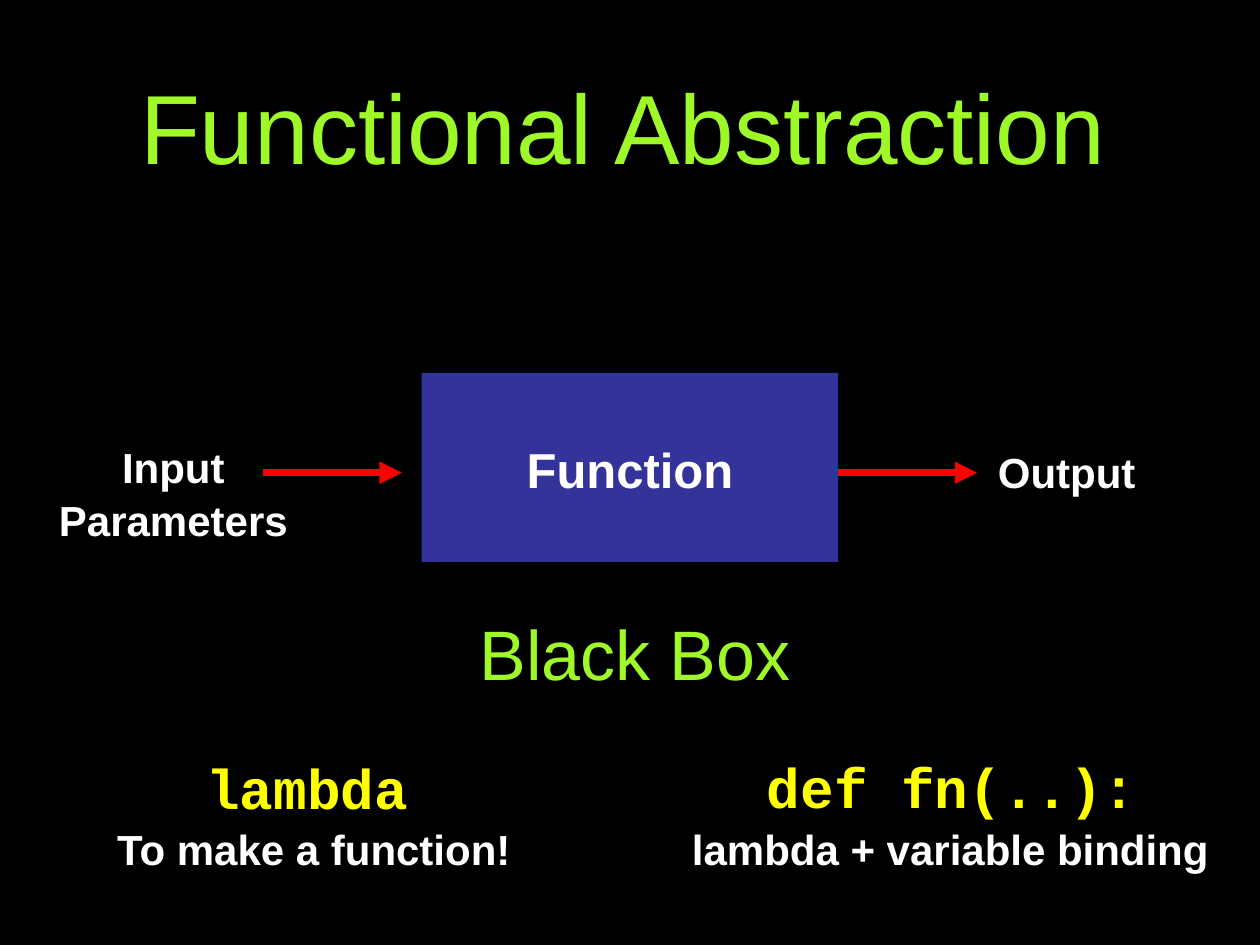
from dataclasses import dataclass

from lxml import etree
from pptx import Presentation
from pptx.dml.color import RGBColor
from pptx.enum.shapes import MSO_CONNECTOR, MSO_SHAPE
from pptx.enum.text import MSO_ANCHOR, MSO_AUTO_SIZE, PP_ALIGN
from pptx.oxml.ns import qn
from pptx.util import Cm, Pt

STRAIGHT = MSO_CONNECTOR.STRAIGHT
RECTANGLE = MSO_SHAPE.RECTANGLE
TOP, MIDDLE = MSO_ANCHOR.TOP, MSO_ANCHOR.MIDDLE
NO_AUTOFIT = MSO_AUTO_SIZE.NONE
LEFT, CENTER = PP_ALIGN.LEFT, PP_ALIGN.CENTER


@dataclass(frozen=True)
class Theme:
    background: str = "000000"
    heading: str = "9FF828"
    label: str = "FFFFFF"
    code: str = "FFFF00"
    box: str = "333399"
    arrow: str = "FF0000"
    body_font: str = "Arial"
    code_font: str = "Courier New"
    title_size: float = 56.1
    subtitle_size: float = 40
    code_size: float = 32
    box_size: float = 28
    label_size: float = 24
    arrow_width: float = 4.25
    body_spacing: float = 1.04
    code_spacing: float = 1.13


def write(frame, text, *, font, size, color, bold=False, align=CENTER,
          anchor=TOP, wrap=True, spacing=1.04, insets=(0.25, 0.13, 0.25, 0.13)):
    frame.auto_size = NO_AUTOFIT
    frame.word_wrap = wrap
    frame.vertical_anchor = anchor
    (frame.margin_left, frame.margin_top,
     frame.margin_right, frame.margin_bottom) = map(Cm, insets)
    for index, line in enumerate(text.split("\n")):
        paragraph = frame.add_paragraph() if index else frame.paragraphs[0]
        paragraph.alignment = align
        paragraph.line_spacing = spacing
        paragraph.space_before = Pt(0)
        run = paragraph.add_run()
        run.text = line
        run.font.name = font
        run.font.size = Pt(size)
        run.font.bold = bold
        run.font.color.rgb = RGBColor.from_string(color)


class SlideBuilder:
    """Draws styled elements on one slide, with lengths in centimetres."""

    def __init__(self, slide, theme):
        self.slide = slide
        self.theme = theme
        fill = slide.background.fill
        fill.solid()
        fill.fore_color.rgb = RGBColor.from_string(theme.background)

    def title(self, text, left, top, width, height):
        heading = self.slide.shapes.title
        heading.left, heading.top = Cm(left), Cm(top)
        heading.width, heading.height = Cm(width), Cm(height)
        write(heading.text_frame, text, font=self.theme.body_font,
              size=self.theme.title_size, color=self.theme.heading,
              insets=(0, 0.13, 0.1, 0))

    def box(self, text, left, top, width, height):
        block = self.slide.shapes.add_shape(
            RECTANGLE, Cm(left), Cm(top), Cm(width), Cm(height))
        block.shadow.inherit = False
        block.fill.solid()
        block.fill.fore_color.rgb = RGBColor.from_string(self.theme.box)
        block.line.fill.background()
        write(block.text_frame, text, font=self.theme.body_font,
              size=self.theme.box_size, color=self.theme.label,
              bold=True, anchor=MIDDLE)

    def text(self, text, left, top, width, height, **style):
        area = self.slide.shapes.add_textbox(
            Cm(left), Cm(top), Cm(width), Cm(height))
        write(area.text_frame, text, **style)

    def label(self, text, left, top, width, height, align=CENTER):
        self.text(text, left, top, width, height, font=self.theme.body_font,
                  size=self.theme.label_size, color=self.theme.label,
                  bold=True, align=align, spacing=self.theme.body_spacing)

    def subtitle(self, text, left, top, width, height):
        self.text(text, left, top, width, height, font=self.theme.body_font,
                  size=self.theme.subtitle_size, color=self.theme.heading,
                  spacing=self.theme.body_spacing)

    def code(self, text, left, top, width, height):
        self.text(text, left, top, width, height, font=self.theme.code_font,
                  size=self.theme.code_size, color=self.theme.code, bold=True,
                  align=LEFT, wrap=False, spacing=self.theme.code_spacing)

    def arrow(self, start, end, level):
        flow = self.slide.shapes.add_connector(
            STRAIGHT, Cm(start), Cm(level), Cm(end), Cm(level))
        flow.line.color.rgb = RGBColor.from_string(self.theme.arrow)
        flow.line.width = Pt(self.theme.arrow_width)
        properties = flow.line._get_or_add_ln()
        etree.SubElement(properties, qn("a:tailEnd"), type="triangle")
        etree.SubElement(flow._element.spPr, qn("a:effectLst"))


def main():
    deck = Presentation()
    deck.slide_width, deck.slide_height = Cm(25.4), Cm(19.05)
    title_only = deck.slide_layouts[5]
    builder = SlideBuilder(deck.slides.add_slide(title_only), Theme())

    builder.title("Functional Abstraction", 2.49, 1.12, 20.22, 4.8)
    builder.box("Function", 8.5, 7.52, 8.4, 3.81)
    builder.label("Input\nParameters", 0.89, 8.74, 5.21, 2.29)
    builder.label("Output", 18.9, 8.84, 5.21, 1.27)
    for start in (5.3, 16.9):
        builder.arrow(start, start + 2.8, 9.53)
    builder.subtitle("Black Box", 1.9, 12.12, 21.8, 1.96)

    builder.code("lambda", 3.91, 14.88, 4.57, 1.6)
    builder.code("def fn(..):", 15.21, 14.86, 7.98, 1.6)
    builder.label("To make a function!", 2.11, 16.43, 8.51, 2.29, align=LEFT)
    builder.label("lambda + variable binding", 13.7, 16.43, 11, 1.27, align=LEFT)
    deck.save("out.pptx")


if __name__ == "__main__":
    main()
